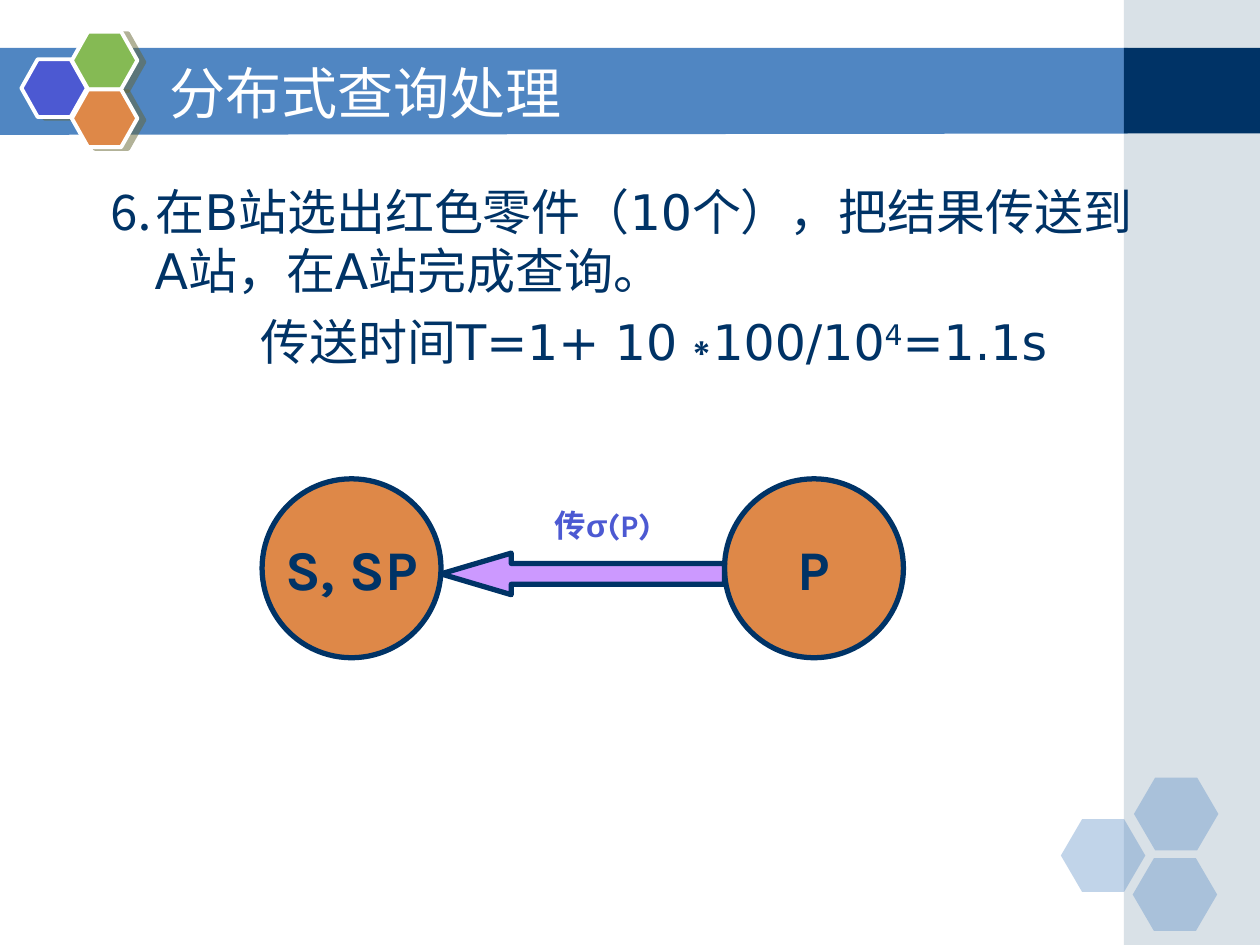
from lxml import etree
from pptx import Presentation
from pptx.dml.color import RGBColor
from pptx.enum.shapes import MSO_SHAPE
from pptx.enum.text import MSO_ANCHOR, PP_ALIGN
from pptx.oxml.ns import qn
from pptx.util import Inches, Pt

RECT, HEX = MSO_SHAPE.RECTANGLE, MSO_SHAPE.HEXAGON
OVAL, ARROW = MSO_SHAPE.OVAL, MSO_SHAPE.LEFT_ARROW
TOP, MIDDLE = MSO_ANCHOR.TOP, MSO_ANCHOR.MIDDLE
LEFT, CENTER = PP_ALIGN.LEFT, PP_ALIGN.CENTER

COLORS = {
    "white": "FFFFFF", "navy": "003366", "blue": "5086C2", "mist": "A0B5C4",
    "indigo": "4C59D2", "green": "85BA54", "orange": "DE8848",
    "violet": "CC99FF", "shade": "666633",
}
SANS, KARLA, ARIAL = "DejaVu Sans", "Karla", "Arial"


def rgb(name):
    return RGBColor.from_string(COLORS[name])


class Painter:
    def __init__(self, slide):
        self.slide = slide

    def shape(self, kind, box, fill, line=None, width=3, alpha=None, adjust=()):
        item = self.slide.shapes.add_shape(kind, *map(Inches, box))
        for i, value in enumerate(adjust):
            item.adjustments[i] = value
        self.paint(item, fill, line, width)
        if alpha:
            color = item._element.spPr.find(qn("a:solidFill"))[0]
            etree.SubElement(color, qn("a:alpha"), val=str(alpha * 1000))
        return item

    def paint(self, item, fill, line=None, width=3):
        item.shadow.inherit = False
        item.fill.solid()
        item.fill.fore_color.rgb = rgb(fill)
        if line:
            item.line.color.rgb = rgb(line)
            item.line.width = Pt(width)
        else:
            item.line.fill.background()

    def outline(self, points, fill):
        first, *rest = [(Inches(x), Inches(y)) for x, y in points]
        maker = self.slide.shapes.build_freeform(*first)
        maker.add_line_segments(rest, close=True)
        self.paint(maker.convert_to_shape(), fill)

    def cast(self, item):
        """Give a shape a hard shadow to the lower right."""
        effects = item._element.spPr.find(qn("a:effectLst"))
        shadow = etree.SubElement(effects, qn("a:outerShdw"), dist=str(Pt(4.1)),
                                  dir=str(14 * 60000), algn="ctr", rotWithShape="0")
        color = etree.SubElement(shadow, qn("a:srgbClr"), val=COLORS["shade"])
        etree.SubElement(color, qn("a:alpha"), val="50000")

    def text(self, box, anchor=TOP):
        frame = self.slide.shapes.add_textbox(*map(Inches, box)).text_frame
        frame.word_wrap = True
        frame.vertical_anchor = anchor
        return frame

    def style(self, para, parts, size, color, align=LEFT, bold=False):
        """Fill a paragraph with (text, font) parts."""
        para.alignment = align
        for words, face in parts:
            run = para.add_run()
            run.text = words
            run.font.name = face
            run.font.size = Pt(size)
            run.font.bold = bold
            run.font.color.rgb = rgb(color)

    def hang(self, para):
        """Hanging indent with a tab stop at every inch."""
        props = para._p.get_or_add_pPr()
        props.set("marL", str(Inches(0.38)))
        props.set("indent", str(Inches(-0.38)))
        etree.SubElement(props, qn("a:buNone"))
        tabs = etree.SubElement(props, qn("a:tabLst"))
        for i in range(8):
            etree.SubElement(tabs, qn("a:tab"), pos=str(Inches(i)), algn="l")

    def node(self, x, label):
        item = self.shape(OVAL, (x, 3.8, 1.42, 1.42), "orange", "navy")
        frame = item.text_frame
        frame.word_wrap = False
        frame.vertical_anchor = MIDDLE
        self.style(frame.paragraphs[0], [(label, KARLA)], 32, "navy", CENTER, True)


def main():
    deck = Presentation()
    deck.slide_width, deck.slide_height = Inches(10), Inches(7.5)
    art = Painter(deck.slides.add_slide(deck.slide_layouts[6]))

    # Title band and side column
    art.outline([(-0.01, 0.38), (8.95, 0.38), (8.95, 1.06), (-0.01, 1.07)], "blue")
    art.shape(RECT, (8.92, 0, 1.08, 7.5), "mist", alpha=40)
    art.shape(RECT, (8.92, 0.38, 1.08, 0.68), "navy")

    # Pale hexagons at the bottom
    for x, y in [(8.42, 6.5), (9, 6.17), (8.99, 6.81)]:
        art.shape(HEX, (x, y, 0.67, 0.58), "blue", alpha=35, adjust=(0.29, 1.15))

    # Hexagon cluster in the title band
    for x, y, fill in [(0.17, 0.47, "indigo"), (0.57, 0.25, "green"),
                       (0.57, 0.71, "orange")]:
        art.cast(art.shape(HEX, (x, y, 0.52, 0.46), fill, "white", 2.25,
                           adjust=(0.28, 1.15)))

    # Title
    title = art.text((1.25, 0.42, 7.33, 0.62), MIDDLE)
    art.style(title.paragraphs[0], [("分布式查询处理", SANS)], 32, "white")

    # Strategy and its cost
    body = art.text((0.75, 1.39, 8.5, 1.84))
    plan, cost = body.paragraphs[0], body.add_paragraph()
    art.hang(plan)
    art.style(plan, [("⒍在B站选出红色零件（10个），把结果传送到A站，在A站完成查询。", SANS)],
              28, "navy")
    art.hang(cost)
    cost.space_before = Pt(7)
    art.style(cost, [("\t传送时间T=1+ 10", SANS), ("∗", ARIAL), ("100/10", SANS),
                     ("4", SANS), ("=1.1s", SANS)], 28, "navy", CENTER)
    cost.runs[3].font._element.set("baseline", "30000")

    # Sites and the transfer between them
    art.node(2.08, "S, SP")
    art.node(5.75, "P")
    art.shape(ARROW, (3.5, 4.39, 2.25, 0.33), "violet", "navy", adjust=(0.5, 1.69))
    label = art.text((3.66, 3.97, 2.25, 0.4))
    art.style(label.paragraphs[0], [("传", KARLA), ("σ", ARIAL), ("(P)", KARLA)],
              18, "indigo", CENTER, True)

    deck.save("out.pptx")


if __name__ == "__main__":
    main()
